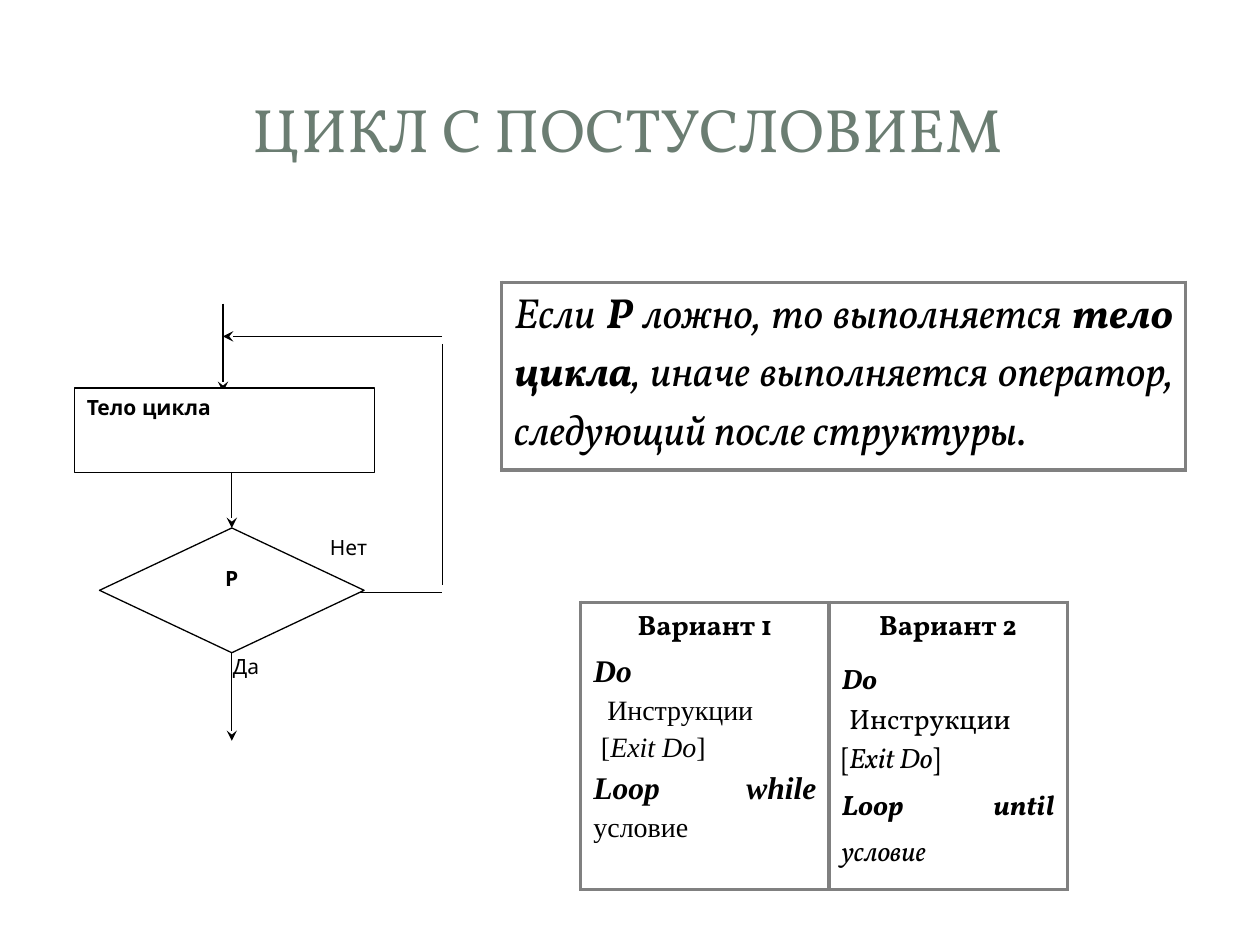
from dataclasses import dataclass
from lxml.etree import SubElement
from pptx import Presentation
from pptx.dml.color import RGBColor as RGB
from pptx.enum.shapes import MSO_CONNECTOR as Link, MSO_SHAPE as Shape
from pptx.enum.text import MSO_ANCHOR as Anchor, PP_ALIGN as Align
from pptx.oxml.ns import qn
from pptx.util import Inches, Pt


@dataclass(frozen=True)
class Theme:
    """Colours, fonts and type sizes of the slide."""
    ink: str = "000000"
    paper: str = "FFFFFF"
    head: str = "6B7D72"
    edge: str = "808080"
    serif: str = "Vollkorn"
    code: str = "Times New Roman"
    label: str = "League Spartan"
    title: int = 35
    rule: int = 24
    key: int = 18
    body: int = 16
    small: int = 12
    thin: float = 0.75
    thick: int = 2


T = Theme()


def write(frame, paras):
    """Fill a frame from (align, spacing, indent, runs) paragraphs."""
    frame.word_wrap = True
    for n, (align, space, indent, runs) in enumerate(paras):
        para = frame.paragraphs[0] if n == 0 else frame.add_paragraph()
        para.alignment = align
        if space:
            para.line_spacing = space
        if indent:
            para._p.get_or_add_pPr().set("marL", str(Inches(indent)))
        for text, size, font, style, tint in runs:
            run = para.add_run()
            run.text = text
            run.font.size = Pt(size)
            run.font.name = font
            run.font.bold = "b" in style
            run.font.italic = "i" in style
            run.font.color.rgb = RGB.from_string(tint)


def title(slide, box, text):
    """Place the centred heading in its box."""
    frame = slide.shapes.add_textbox(*map(Inches, box)).text_frame
    frame.vertical_anchor = Anchor.MIDDLE
    write(frame, [(Align.CENTER, None, 0, [(text, T.title, T.serif, "", T.head)])])


def node(slide, kind, box, text, align, style="", line=True):
    """Add a white chart block with its label."""
    shape = slide.shapes.add_shape(kind, *map(Inches, box))
    shape.shadow.inherit = False
    shape.fill.solid()
    shape.fill.fore_color.rgb = RGB.from_string(T.paper)
    if line:
        shape.line.color.rgb = RGB.from_string(T.ink)
        shape.line.width = Pt(T.thin)
    else:
        shape.line.fill.background()
    shape.text_frame.vertical_anchor = Anchor.TOP
    write(shape.text_frame, [(align, None, 0, [(text, T.small, T.label, style, T.ink)])])


def wire(slide, ends, arrow=True):
    """Draw a thin line, with an arrowhead at its end if asked."""
    link = slide.shapes.add_connector(Link.STRAIGHT, *map(Inches, ends))
    link.line.color.rgb = RGB.from_string(T.ink)
    link.line.width = Pt(T.thin)
    if arrow:
        SubElement(link.line._get_or_add_ln(), qn("a:tailEnd"), type="stealth")
    SubElement(link._element.spPr, qn("a:effectLst"))


def flow(slide, box):
    """Draw the loop flowchart inside its box."""
    left, top, wide, high = box
    mid, entry, right = left + 1.25, left + 1.18, left + wide
    back, exit_y = top + 0.26, top + 2.29
    node(slide, Shape.RECTANGLE, (left + 1.93, top + 1.78, 1.2, 1.07),
         "Нет", Align.JUSTIFY, line=False)
    node(slide, Shape.RECTANGLE, (left + 1.16, top + 2.73, 1, 0.67),
         "Да", Align.LEFT, line=False)
    wire(slide, (entry, top, entry, top + 0.7))
    node(slide, Shape.FLOWCHART_DECISION, (left + 0.2, top + 1.78, 2.1, 0.99),
         "Р", Align.CENTER, "b")
    wire(slide, (mid, top + 1.32, mid, top + 1.78))
    node(slide, Shape.FLOWCHART_PROCESS, (left, top + 0.67, 2.38, 0.67),
         "Тело цикла", Align.JUSTIFY, "b")
    wire(slide, (left + 2.26, exit_y, right, exit_y), False)
    wire(slide, (right, back + 0.06, right, exit_y - 0.06), False)
    wire(slide, (right, back, entry, back))
    wire(slide, (mid, top + 2.77, mid, top + high))


def grid(slide, box, cols, cells):
    """Add a one-row table with grey borders."""
    table = slide.shapes.add_table(1, len(cols), *map(Inches, box)).table
    table.first_row = table.horz_banding = False
    for n, (wide, paras) in enumerate(zip(cols, cells)):
        table.columns[n].width = Inches(wide)
        cell = table.cell(0, n)
        props = cell._tc.get_or_add_tcPr()
        for side in ("lnL", "lnR", "lnT", "lnB"):
            edge = SubElement(props, qn("a:" + side), w=str(Pt(T.thick)))
            SubElement(SubElement(edge, qn("a:solidFill")), qn("a:srgbClr"), val=T.edge)
        cell.fill.background()
        write(cell.text_frame, paras)


def rule(slide, box):
    """Place the framed statement of the rule."""
    words = [("Если ", "i"), ("Р", "bi"), (" ложно, то выполняется ", "i"),
             ("тело цикла", "bi"),
             (", иначе выполняется оператор, следующий после структуры.", "i")]
    runs = [(text, T.rule, T.serif, style, T.ink) for text, style in words]
    grid(slide, box, [box[2]], [[(Align.JUSTIFY, None, 0, runs)]])


def forms(slide, box):
    """Place the table of the two loop forms."""
    def run(text, font, style="", size=T.body):
        """Describe one dark run."""
        return text, size, font, style, T.ink

    def head(num):
        """Describe the heading of a form."""
        return Align.CENTER, None, 0, [run(f"Вариант {num}", T.serif, "b")]

    def leave(font):
        """Describe the runs of the exit line."""
        return [run("[", font), run("Exit Do", font, "i"), run("]", font)]

    just = Align.JUSTIFY
    first = [head(1),
             (just, 1.2, 0, [run("Do", T.code, "bi", T.key)]),
             (just, 1.2, 0.11, [run("Инструкции", T.code)]),
             (just, 1.2, 0.06, leave(T.code)),
             (just, 1.2, 0, [run("Loop while", T.code, "bi", T.key),
                             run(" условие", T.code)])]
    second = [head(2),
              (just, 1.4, 0, [run("Do", T.serif, "bi")]),
              (Align.LEFT, None, 0.06, [run("Инструкции", T.serif)]),
              (Align.LEFT, None, 0, leave(T.serif)),
              (just, 1.2, 0, [run("Loop until ", T.serif, "bi"),
                              run("условие", T.serif, "i")])]
    grid(slide, box, [1.97, 1.89], [first, second])


def main():
    """Build and save the slide."""
    deck = Presentation()
    deck.slide_width, deck.slide_height = Inches(10), Inches(7.5)
    slide = deck.slides.add_slide(deck.slide_layouts[6])
    title(slide, (0.47, 0.45, 9.03, 1.14), "ЦИКЛ С ПОСТУСЛОВИЕМ")
    flow(slide, (0.59, 2.41, 2.92, 3.47))
    rule(slide, (3.98, 2.24, 5.43, 1.49))
    forms(slide, (4.61, 4.78, 3.86, 2.28))
    deck.save("out.pptx")


main()
